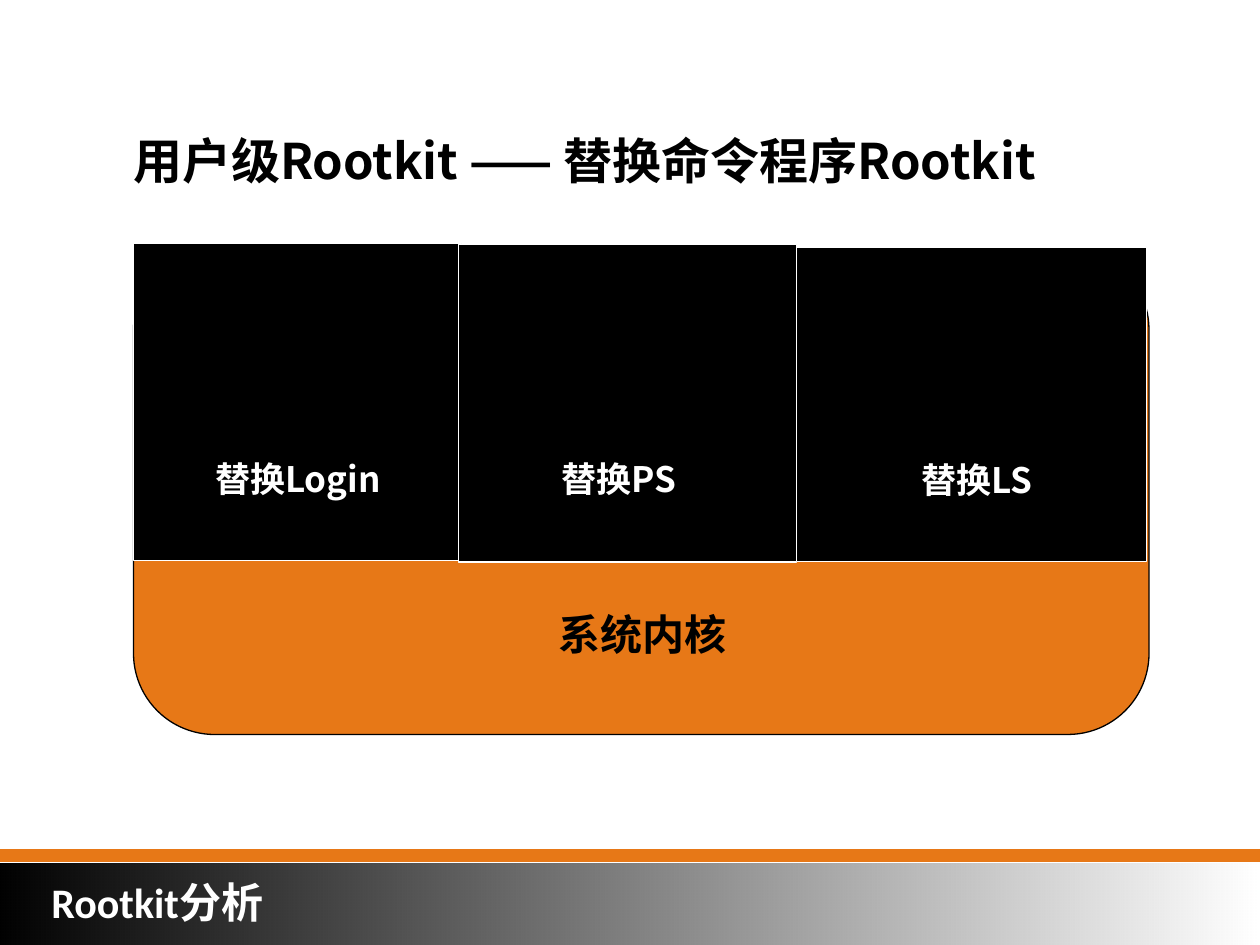
import pptx
import pptx.dml.color
import pptx.enum.shapes
import pptx.enum.text
import pptx.oxml.ns
import pptx.util
from lxml import etree

Inches = pptx.util.Inches
SHAPES = pptx.enum.shapes.MSO_SHAPE
ALIGN = pptx.enum.text.PP_ALIGN
qn = pptx.oxml.ns.qn

ORANGE, BLACK, WHITE = "E77817", "000000", "FFFFFF"
LATIN, CJK = "Calibri", "Noto Sans CJK SC"


def rgb(color):
    return pptx.dml.color.RGBColor.from_string(color)


def add_box(s, kind, left, top, width, height, fill, line=None):
    sp = s.shapes.add_shape(kind, Inches(left), Inches(top), Inches(width), Inches(height))
    sp.shadow.inherit = False
    sp.fill.solid()
    sp.fill.fore_color.rgb = rgb(fill)
    if line:
        sp.line.color.rgb = rgb(line)
        sp.line.width = pptx.util.Pt(0.75)
    else:
        sp.line.fill.background()
    return sp


def fade_to_right(sp, color):
    """Fill with a gradient that is solid at the left and clear at the right."""
    sp.fill.gradient()
    sp.fill.gradient_angle = 180
    clear, solid = sp.fill.gradient_stops
    for stop, position in ((clear, 0), (solid, 1)):
        stop.color.rgb = rgb(color)
        stop.position = position
    first_color = next(sp.fill._xPr.iter(qn("a:srgbClr")))
    etree.SubElement(first_color, qn("a:alpha")).set("val", "0")


def add_text(s, left, top, width, height, text, size, color, font=CJK, align=ALIGN.CENTER):
    sp = s.shapes.add_textbox(Inches(left), Inches(top), Inches(width), Inches(height))
    tf = sp.text_frame
    tf.word_wrap = True
    p = tf.paragraphs[0]
    p.alignment = align
    r = p.add_run()
    r.text = text
    r.font.size = pptx.util.Pt(size)
    r.font.bold = True
    r.font.color.rgb = rgb(color)
    r.font.name = font
    etree.SubElement(r.font._element, qn("a:ea")).set("typeface", CJK)


def add_footer(s):
    add_box(s, SHAPES.RECTANGLE, 0, 6.74, 10, 0.1, ORANGE)
    band = add_box(s, SHAPES.RECTANGLE, 0, 6.85, 10, 0.69, BLACK)
    fade_to_right(band, BLACK)
    add_text(s, 0.31, 6.91, 2.12, 0.5, "Rootkit分析", 24, WHITE, LATIN, ALIGN.LEFT)


def add_kernel(s):
    kernel = add_box(s, SHAPES.ROUNDED_RECTANGLE, 1.06, 1.97, 8.06, 3.86, ORANGE, BLACK)
    kernel.adjustments[0] = 0.167
    add_text(s, 3.86, 4.78, 2.48, 0.5, "系统内核", 24, BLACK, LATIN)


def add_commands(s):
    """Draw the replaced commands side by side over the kernel."""
    commands = [
        # box left, top, width, height; label left, top, height, text
        (1.06, 1.93, 2.6, 2.52, 1.59, 3.58, 0.77, "替换Login"),
        (3.64, 1.94, 2.68, 2.52, 4.14, 3.58, 0.44, "替换PS"),
        (6.32, 1.96, 2.78, 2.5, 6.98, 3.59, 0.44, "替换LS"),
    ]
    for left, top, width, height, label_left, label_top, label_height, text in commands:
        add_box(s, SHAPES.RECTANGLE, left, top, width, height, BLACK, WHITE)
        add_text(s, label_left, label_top, 1.55, label_height, text, 20, WHITE)


def main():
    prs = pptx.Presentation()
    prs.slide_width, prs.slide_height = Inches(10), Inches(7.5)
    s = prs.slides.add_slide(prs.slide_layouts[6])
    add_footer(s)
    add_text(s, 0.96, 0.99, 7.68, 1.04, "用户级Rootkit —— 替换命令程序Rootkit",
             28, BLACK, align=ALIGN.LEFT)
    add_kernel(s)
    add_commands(s)
    prs.save("out.pptx")


if __name__ == "__main__":
    main()
